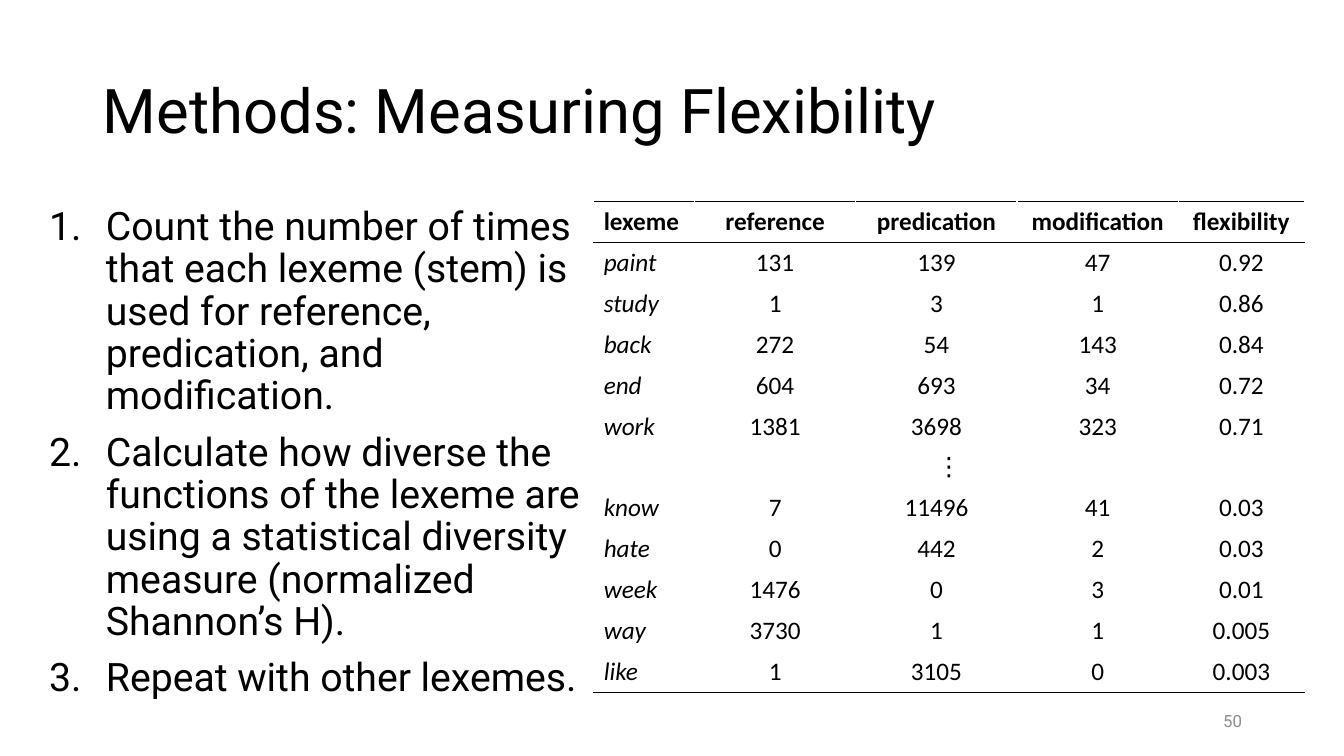
import pptx
import pptx.util
import pptx.dml.color
import pptx.enum.text
import pptx.oxml
import pptx.oxml.ns

Pt = pptx.util.Pt
ALIGN = pptx.enum.text.PP_ALIGN
MIDDLE = pptx.enum.text.MSO_ANCHOR.MIDDLE

COLORS = {"text": "000000", "number": "8C8C8C"}

STEPS = [
    "Count the number of times that each lexeme (stem) is used for reference, "
    "predication, and modification.",
    "Calculate how diverse the functions of the lexeme are using a statistical "
    "diversity measure (normalized Shannon’s H).",
    "Repeat with other lexemes.",
]

COLUMN_WIDTHS = [72, 115.2, 115.2, 115.2, 90]
ROW_HEIGHT = 29.22
LEXEMES = [
    ["lexeme", "reference", "predication", "modification", "flexibility"],
    ["paint", "131", "139", "47", "0.92"],
    ["study", "1", "3", "1", "0.86"],
    ["back", "272", "54", "143", "0.84"],
    ["end", "604", "693", "34", "0.72"],
    ["work", "1381", "3698", "323", "0.71"],
    ["⋮"],
    ["know", "7", "11496", "41", "0.03"],
    ["hate", "0", "442", "2", "0.03"],
    ["week", "1476", "0", "3", "0.01"],
    ["way", "3730", "1", "1", "0.005"],
    ["like", "1", "3105", "0", "0.003"],
]


def format_paragraph(para, font, color="text", **layout):
    for name, value in layout.items():
        setattr(para, name, value)
    for name, value in font.items():
        setattr(para.font, name, value)
    para.font.color.rgb = pptx.dml.color.RGBColor.from_string(COLORS[color])


def place(shape, left, top, width, height):
    bounds = {"left": left, "top": top, "width": width, "height": height}
    for name, value in bounds.items():
        setattr(shape, name, Pt(value))


def add_text_box(page, left, top, width, height):
    box = page.shapes.add_textbox(Pt(left), Pt(top), Pt(width), Pt(height))
    box.text_frame.word_wrap = True
    return box.text_frame


def add_title(page, text):
    title = page.shapes.title
    place(title, 66.24, 28.8, 828, 104.4)
    title.text_frame.text = text
    title.text_frame.vertical_anchor = MIDDLE
    format_paragraph(title.text_frame.paragraphs[0],
                     {"name": "Roboto", "size": Pt(44)},
                     alignment=ALIGN.LEFT, line_spacing=0.9)


def number_paragraph(para, indent):
    properties = para._p.get_or_add_pPr()
    properties.set("marL", str(Pt(indent)))
    properties.set("indent", str(-Pt(indent)))
    properties.append(pptx.oxml.parse_xml(
        f'<a:buFont {pptx.oxml.ns.nsdecls("a")} typeface="+mj-lt"/>'))
    properties.append(pptx.oxml.parse_xml(
        f'<a:buAutoNum {pptx.oxml.ns.nsdecls("a")} type="arabicPeriod"/>'))


def add_numbered_list(page, steps):
    frame = add_text_box(page, 28.08, 144, 396, 367.2)
    for index, step in enumerate(steps):
        para = frame.paragraphs[0] if index == 0 else frame.add_paragraph()
        para.text = step
        number_paragraph(para, 40.5)
        format_paragraph(para, {"name": "Roboto", "size": Pt(28)},
                         line_spacing=0.9, space_before=Pt(10 if index else 0))


def add_border(cell, side):
    cell._tc.get_or_add_tcPr().append(pptx.oxml.parse_xml(
        f'<a:{side} {pptx.oxml.ns.nsdecls("a")} w="{Pt(1)}"><a:solidFill>'
        f'<a:srgbClr val="{COLORS["text"]}"/></a:solidFill></a:{side}>'))


def add_lexeme_table(page, rows):
    last = len(rows) - 1
    frame = page.shapes.add_table(
        len(rows), len(COLUMN_WIDTHS), Pt(424.08), Pt(144),
        Pt(sum(COLUMN_WIDTHS)), Pt(ROW_HEIGHT * len(rows)))
    table = frame.table
    table.first_row = table.horz_banding = False
    for column, width in zip(table.columns, COLUMN_WIDTHS):
        column.width = Pt(width)

    for r, values in enumerate(rows):
        table.rows[r].height = Pt(ROW_HEIGHT)
        spanned = len(values) == 1
        if spanned:
            table.cell(r, 0).merge(table.cell(r, len(COLUMN_WIDTHS) - 1))
        for c in range(len(COLUMN_WIDTHS)):
            cell = table.cell(r, c)
            # Rules above and below the header and under the last row
            if r in (0, 1):
                add_border(cell, "lnT")
            if r in (0, last):
                add_border(cell, "lnB")
            cell.fill.background()
            cell.vertical_anchor = MIDDLE
            if c < len(values):
                cell.text = values[c]
                is_name = c == 0 and not spanned
                format_paragraph(
                    cell.text_frame.paragraphs[0],
                    {"name": "Calibri", "size": Pt(18), "bold": r == 0,
                     "italic": is_name and r > 0},
                    alignment=ALIGN.LEFT if is_name else ALIGN.CENTER)


def add_page_number(page, number):
    frame = add_text_box(page, 678.24, 500.4, 216, 28.8)
    frame.vertical_anchor = MIDDLE
    frame.text = number
    format_paragraph(frame.paragraphs[0], {"name": "Roboto", "size": Pt(12)},
                     "number", alignment=ALIGN.RIGHT)


def main():
    deck = pptx.Presentation()
    deck.slide_width, deck.slide_height = Pt(960), Pt(540)
    page = deck.slides.add_slide(deck.slide_layouts.get_by_name("Title Only"))

    # Title and steps
    add_title(page, "Methods: Measuring Flexibility")
    add_numbered_list(page, STEPS)

    # Counts per lexeme
    add_lexeme_table(page, LEXEMES)

    # Footer
    add_page_number(page, "50")
    deck.save("out.pptx")


if __name__ == "__main__":
    main()
